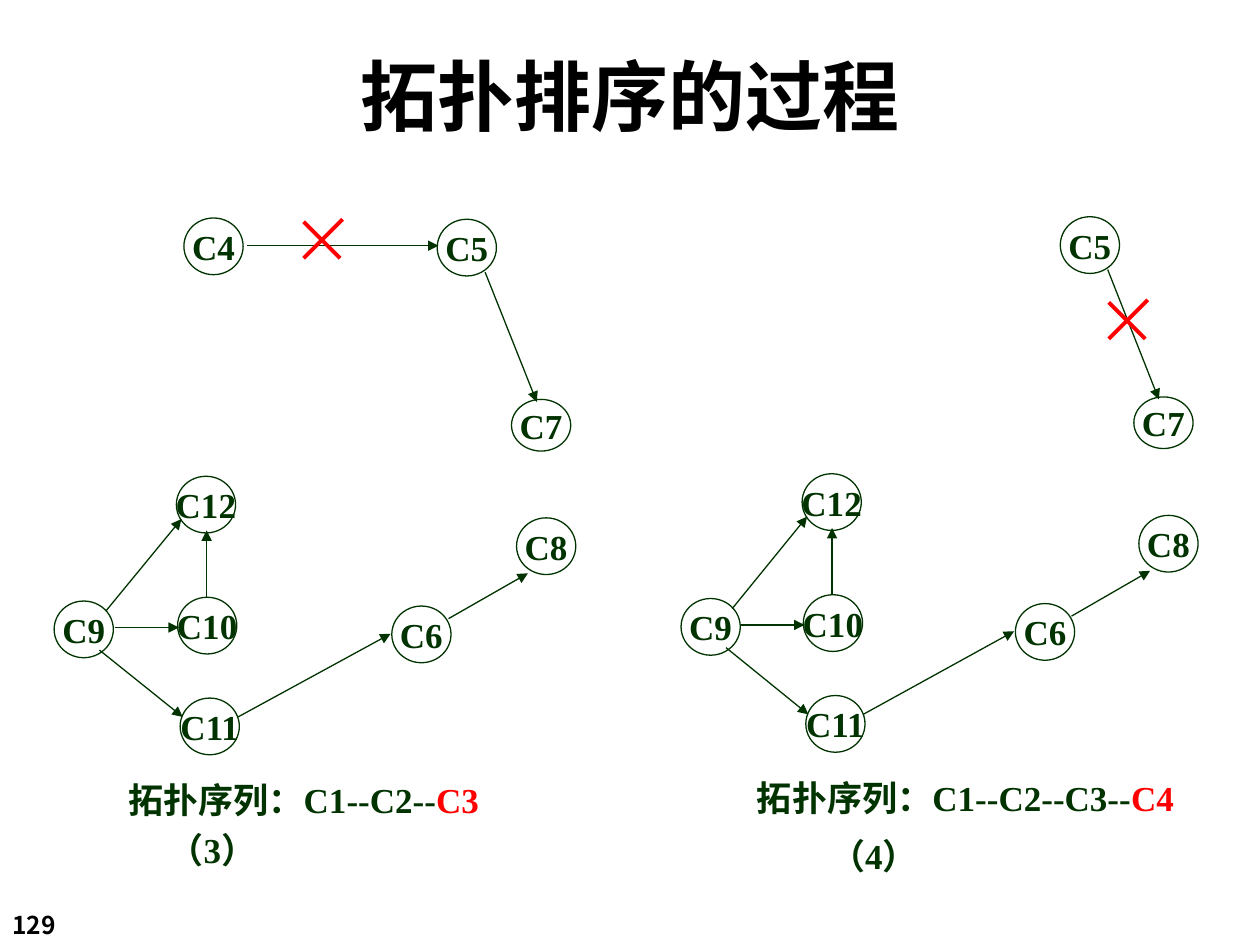
"""Builds the slide that shows steps 3 and 4 of a topological sort."""
from lxml import etree
from pptx import Presentation
from pptx.dml.color import RGBColor
from pptx.enum.shapes import MSO_CONNECTOR, MSO_SHAPE
from pptx.enum.text import MSO_ANCHOR, MSO_AUTO_SIZE, PP_ALIGN
from pptx.oxml.ns import qn
from pptx.util import Inches, Pt

STRAIGHT = MSO_CONNECTOR.STRAIGHT
OVAL = MSO_SHAPE.OVAL
TOP, MIDDLE = MSO_ANCHOR.TOP, MSO_ANCHOR.MIDDLE
NO_AUTOSIZE, FIT_TEXT = MSO_AUTO_SIZE.NONE, MSO_AUTO_SIZE.SHAPE_TO_FIT_TEXT
CENTER = PP_ALIGN.CENTER

COLORS = {"graph": "003300", "removed": "FF0000", "heading": "000000"}
LATIN_FONT = "Times New Roman"
CJK_FONT = "Noto Sans CJK SC"
NODE_WIDTH, NODE_HEIGHT = 0.47, 0.45

NODES = {
    "C4": (1.46, 1.73), "C5": (3.47, 1.74), "C6": (3.11, 4.81),
    "C7": (4.06, 3.17), "C8": (4.1, 4.11), "C9": (0.43, 4.77),
    "C10": (1.41, 4.74), "C11": (1.43, 5.54), "C12": (1.4, 3.78),
}
NODE_HEIGHTS = {"C7": 0.41}
EDGES = {
    ("C4", "C5"): (1.96, 1.95, 3.48, 1.95),
    ("C5", "C7"): (3.85, 2.16, 4.26, 3.19),
    ("C9", "C12"): (0.84, 4.85, 1.44, 4.12),
    ("C9", "C10"): (0.91, 4.98, 1.42, 4.98),
    ("C10", "C12"): (1.64, 4.74, 1.64, 4.21),
    ("C9", "C11"): (0.79, 5.16, 1.45, 5.69),
    ("C11", "C6"): (1.89, 5.69, 3.1, 5.03),
    ("C6", "C8"): (3.56, 4.91, 4.19, 4.55),
}
STEPS = [
    {"done": (), "shift": (0, 0), "scale": 1, "cross": (2.41, 1.74),
     "sequence": ("拓扑序列：C1--C2--", "C3"), "sequence_box": (0.92, 6.13, 3.05, 0.44),
     "number": "（3）", "number_box": (1.24, 6.53, 1.03, 0.44)},
    {"done": ("C4",), "shift": (4.98, -0.02), "scale": 0.99, "cross": (8.8, 2.38),
     "sequence": ("拓扑序列：C1--C2--C3--", "C4"), "sequence_box": (5.91, 6.11, 3.6, 0.44),
     "number": "（4）", "number_box": (6.49, 6.57, 1.03, 0.44)},
]


class SortSlide:
    """Holds the slide and draws its elements in one style."""

    def __init__(self, slide):
        self.slide = slide

    def style_run(self, run, color, size=20, font=LATIN_FONT):
        run.font.name = font
        run.font.size = Pt(size)
        run.font.bold = True
        run.font.color.rgb = RGBColor.from_string(COLORS[color])
        etree.SubElement(run.font._element, qn("a:ea"), typeface=CJK_FONT)

    def title(self, text, box):
        heading = self.slide.shapes.title
        heading.left, heading.top, heading.width, heading.height = map(Inches, box)
        frame = heading.text_frame
        frame.text = text
        frame.auto_size = NO_AUTOSIZE
        frame.vertical_anchor = TOP
        paragraph = frame.paragraphs[0]
        paragraph.alignment = CENTER
        paragraph.line_spacing = 0.9
        self.style_run(paragraph.runs[0], "heading", 44, CJK_FONT)

    def label(self, parts, box, size=20, font=LATIN_FONT, wrap=False):
        frame = self.slide.shapes.add_textbox(*map(Inches, box)).text_frame
        frame.word_wrap = wrap
        frame.auto_size = FIT_TEXT
        for text, color in parts:
            run = frame.paragraphs[0].add_run()
            run.text = text
            self.style_run(run, color, size, font)

    def node(self, name, left, top):
        height = NODE_HEIGHTS.get(name, NODE_HEIGHT)
        circle = self.slide.shapes.add_shape(
            OVAL, *map(Inches, (left, top, NODE_WIDTH, height)))
        circle.shadow.inherit = False
        circle.fill.background()
        circle.line.color.rgb = RGBColor.from_string(COLORS["graph"])
        circle.line.width = Pt(0.75)
        frame = circle.text_frame
        frame.text = name
        frame.word_wrap = False
        frame.vertical_anchor = MIDDLE
        frame.paragraphs[0].alignment = CENTER
        self.style_run(frame.paragraphs[0].runs[0], "graph")

    def line(self, ends, color="graph", width=0.75, arrow=True):
        connector = self.slide.shapes.add_connector(STRAIGHT, *map(Inches, ends))
        connector.line.color.rgb = RGBColor.from_string(COLORS[color])
        connector.line.width = Pt(width)
        if arrow:
            etree.SubElement(connector.line._get_or_add_ln(), qn("a:tailEnd"), type="triangle")
        etree.SubElement(connector._element.spPr, qn("a:effectLst"))

    def cross(self, left, top):
        self.line((left, top + 0.02, left + 0.29, top + 0.31), "removed", 2.25, False)
        self.line((left + 0.31, top, left, top + 0.31), "removed", 2.25, False)

    def step(self, step):
        (dx, dy), scale = step["shift"], step["scale"]
        for name, (left, top) in NODES.items():
            if name not in step["done"]:
                self.node(name, dx + scale * left, dy + top)
        for (start, _), (x1, y1, x2, y2) in EDGES.items():
            if start not in step["done"]:
                self.line((dx + scale * x1, dy + y1, dx + scale * x2, dy + y2))
        self.label(zip(step["sequence"], ("graph", "removed")), step["sequence_box"])
        self.label([(step["number"], "graph")], step["number_box"])
        self.cross(*step["cross"])


def main():
    deck = Presentation()
    deck.slide_width, deck.slide_height = Inches(10), Inches(7.5)
    page = SortSlide(deck.slides.add_slide(deck.slide_layouts[5]))
    page.title("拓扑排序的过程", (0.42, 0.42, 9.17, 1))
    page.label([("129", "heading")], (0, 7.17, 0.83, 0.34), 14, CJK_FONT, wrap=True)
    for step in STEPS:
        page.step(step)
    deck.save("out.pptx")


if __name__ == "__main__":
    main()
